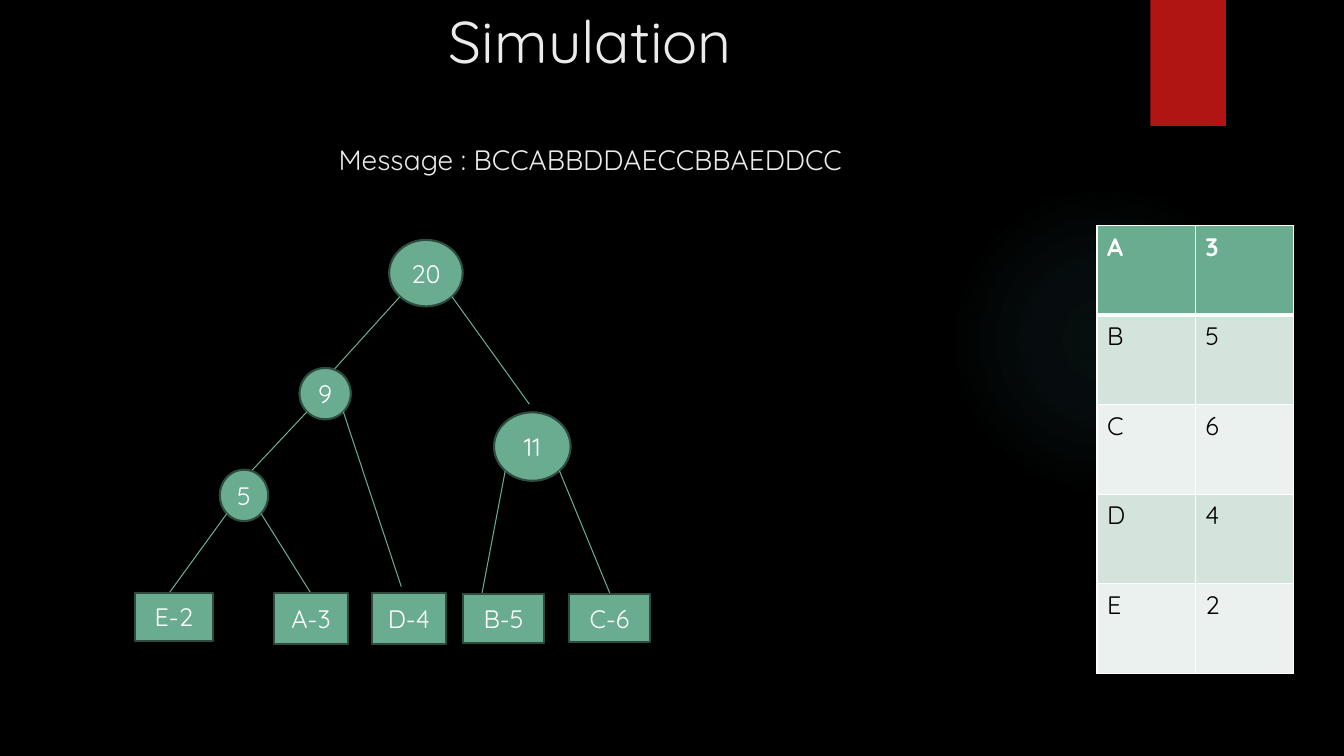
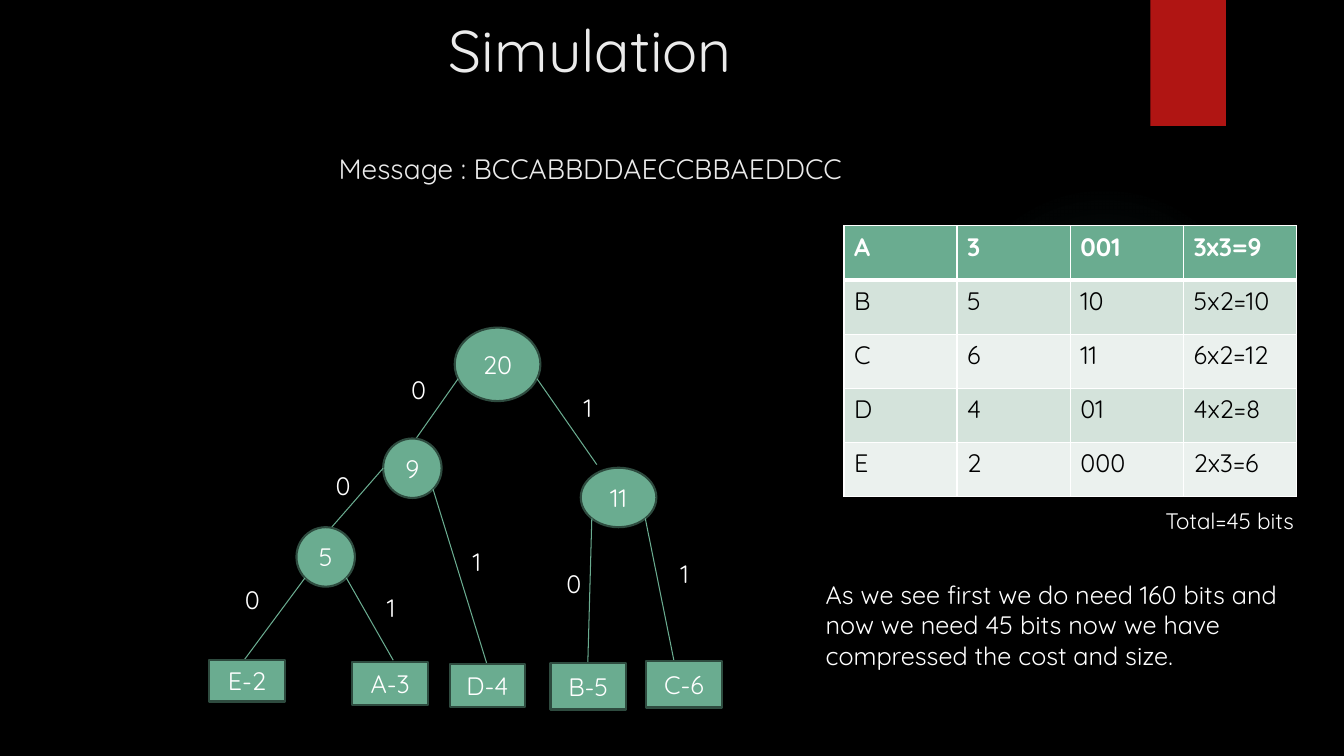
from dataclasses import dataclass
from math import cos, radians, sin

from pptx import Presentation
from pptx import util as u
from pptx.dml.color import RGBColor
from pptx.enum import shapes, text
from pptx.oxml import parse_xml
from pptx.oxml.ns import nsdecls


@dataclass(frozen=True)
class Theme:
    font: str = "Quicksand"
    background: str = "000000"
    band: str = "B01513"
    glow: str = "50B9C1"
    title: str = "EBEBEB"
    white: str = "FFFFFF"
    black: str = "000000"
    green: str = "6AAC90"
    outline: str = "2E4B3F"
    stripes: tuple = ("EBF1EE", "D4E3DB")
    title_size: float = 42
    message_size: float = 20
    body_size: float = 18
    note_size: float = 16
    message_gap: float = 48


THEME = Theme()
TITLE_ONLY = 5
MESSAGE = "Message : BCCABBDDAECCBBAEDDCC"
LEFT, RIGHT = 135, 45  # usual branch angles, clockwise from three o'clock

# Trees: label, (left, top, width, height), parent, angle, line end; ten grid units to the inch
FREQUENCY_TREE = [
    ("20", (38.6, 23.8, 7.3, 6.6), None, None, None),
    ("9", (29.7, 36.5, 5.1, 5.1), "20", LEFT, (33, 36.8)),
    ("5", (21.8, 46.6, 4.8, 5.1), "9", LEFT, (24.4, 47.3)),
    ("11", (49, 40.9, 7.6, 6.8), "20", RIGHT, (52.5, 40.1)),
    ("E-2", (13.4, 58.8, 7.7, 4.8), "5", LEFT, (16.8, 58.8)),
    ("A-3", (27.2, 58.8, 7.3, 5.1), "5", RIGHT, (30.8, 58.8)),
    ("D-4", (36.9, 58.8, 7.3, 5.1), "9", RIGHT, (39.8, 58.2)),
    ("B-5", (45.9, 58.9, 8.1, 4.9), "11", LEFT, (47.8, 58.9)),
    ("C-6", (56.4, 58.9, 8.1, 4.8), "11", RIGHT, (60.5, 58.9)),
]
CODE_TREE = [
    ("20", (45.1, 32.5, 8.5, 7.3), None, None, None),
    ("9", (38, 43.5, 5.8, 5.9), "20", 157, (41.2, 43.6)),
    ("11", (57.6, 46.4, 7.5, 5.9), "20", 23, (59.2, 46.1)),
    ("5", (29.4, 52.3, 5.8, 5.9), "9", 180, (32.9, 52.3)),
    ("E-2", (20.7, 65.5, 7.6, 4.1), "5", LEFT, (24.2, 65.5)),
    ("A-3", (34.9, 65.7, 7.6, 4.2), "5", RIGHT, (39, 65.5)),
    ("D-4", (44.6, 65.9, 7.5, 4.2), "9", RIGHT, (48.3, 65.9)),
    ("B-5", (54.6, 65.8, 7.5, 4.6), "11", LEFT, (58.3, 65.8)),
    ("C-6", (64.1, 65.6, 7.5, 4.6), "11", RIGHT, (67.2, 67.3)),
]
BRANCH_BITS = [
    ("1", 56.9, 38.4), ("1", 66.5, 54.9), ("0", 39.8, 36.6), ("0", 32.3, 46.2),
    ("0", 23.3, 57.5), ("0", 55.2, 55.9), ("1", 37.4, 58.3), ("1", 45.9, 53.7),
]
CODES = [("A", 3, "001"), ("B", 5, "10"), ("C", 6, "11"), ("D", 4, "01"), ("E", 2, "000")]


def grid(*units):
    """Turn grid units into lengths."""
    return [u.Inches(unit / 10) for unit in units]


def rgb(value):
    return RGBColor.from_string(value)


def apply(target, formats):
    for name, value in formats.items():
        setattr(target, name, value)


def write(paragraph, words, size=THEME.body_size, color=THEME.white, bold=False):
    run = paragraph.add_run()
    run.text = words
    apply(run.font, {"name": THEME.font, "size": u.Pt(size), "bold": bold})
    run.font.color.rgb = rgb(color)


def add_plain_shape(slide, kind, box, fill):
    shape = slide.shapes.add_shape(kind, *grid(*box))
    shape.shadow.inherit = False
    shape.fill.solid()
    shape.fill.fore_color.rgb = rgb(fill)
    shape.line.fill.background()
    return shape


def add_label(slide, words, box, wrap=True, size=THEME.body_size):
    frame = slide.shapes.add_textbox(*grid(*box)).text_frame
    frame.word_wrap = wrap
    write(frame.paragraphs[0], words, size)


# Shared backdrop
def style_layout(layout, slide):
    """Put the background, glow and band on the layout, behind its placeholders."""
    layout.background.fill.solid()
    layout.background.fill.fore_color.rgb = rgb(THEME.background)
    glow = add_plain_shape(slide, shapes.MSO_SHAPE.OVAL, (94.1, 18.3, 30.8, 30.8), THEME.glow)
    stops = "".join(
        f'<a:gs pos="{place}000"><a:srgbClr val="{THEME.glow}">'
        f'<a:alpha val="{alpha}000"/></a:srgbClr></a:gs>'
        for place, alpha in ((0, 7), (36, 6), (69, 0), (100, 0)))
    solid = glow.element.spPr.find("{*}solidFill")
    solid.getparent().replace(solid, parse_xml(
        f'<a:gradFill {nsdecls("a")}><a:gsLst>{stops}</a:gsLst><a:path path="circle">'
        '<a:fillToRect l="50000" t="50000" r="50000" b="50000"/></a:path></a:gradFill>'))
    band = add_plain_shape(slide, shapes.MSO_SHAPE.RECTANGLE, (114.1, 0, 7.5, 12.5), THEME.band)
    for place, part in enumerate((glow, band), start=2):
        layout.shapes.element.insert(place, part.element)


def add_title(slide, top, height):
    title = slide.shapes.title
    places = grid(7.1, top, 102.9, height)
    apply(title, dict(zip(("left", "top", "width", "height"), places)))
    frame = title.text_frame
    apply(frame, {"word_wrap": True, "auto_size": text.MSO_AUTO_SIZE.NONE,
                  "vertical_anchor": text.MSO_ANCHOR.TOP})
    heading, message = frame.paragraphs[0], frame.add_paragraph()
    write(heading, "Simulation", THEME.title_size, THEME.title)
    write(message, MESSAGE, THEME.message_size, THEME.title)
    for paragraph in (heading, message):
        paragraph.alignment = text.PP_ALIGN.CENTER
    message.space_before = u.Pt(THEME.message_gap)


# Tree
def add_branch(slide, box, angle, end):
    """Draw a line from the rim of the parent's ellipse to the child."""
    left, top, width, height = box
    start = (left + width / 2 * (1 + cos(radians(angle))),
             top + height / 2 * (1 + sin(radians(angle))))
    branch = slide.shapes.add_connector(shapes.MSO_CONNECTOR.STRAIGHT, *grid(*start, *end))
    branch.line.color.rgb = rgb(THEME.green)
    branch.line.width = u.Pt(0.75)
    branch.element.spPr.append(parse_xml(f'<a:effectLst {nsdecls("a")}/>'))


def add_node(slide, label, box):
    is_leaf = "-" in label
    kind = shapes.MSO_SHAPE.RECTANGLE if is_leaf else shapes.MSO_SHAPE.OVAL
    node = add_plain_shape(slide, kind, box, THEME.green)
    node.line.color.rgb = rgb(THEME.outline)
    node.line.width = u.Pt(1.5)
    frame = node.text_frame
    apply(frame, {"word_wrap": False, "vertical_anchor": text.MSO_ANCHOR.MIDDLE})
    frame.paragraphs[0].alignment = text.PP_ALIGN.CENTER
    write(frame.paragraphs[0], label)


def add_tree(slide, tree):
    boxes = {label: box for label, box, *_ in tree}
    for label, box, parent, angle, end in tree:
        if parent:
            add_branch(slide, boxes[parent], angle, end)
        add_node(slide, label, box)


# Table
def set_borders(cell, is_header, below_header):
    properties = cell._tc.get_or_add_tcPr()
    for side in "LRTB":
        thick = (is_header and side == "B") or (below_header and side == "T")
        width = u.Pt(3 if thick else 1)
        properties.append(parse_xml(
            f'<a:ln{side} {nsdecls("a")} w="{width}"><a:solidFill>'
            f'<a:srgbClr val="{THEME.white}"/></a:solidFill></a:ln{side}>'))


def add_code_table(slide, rows, box):
    table = slide.shapes.add_table(len(rows), len(rows[0]), *grid(*box)).table
    for r, row in enumerate(rows):
        is_header = r == 0
        fill = THEME.green if is_header else THEME.stripes[r % 2]
        color = THEME.white if is_header else THEME.black
        for c, value in enumerate(row):
            cell = table.cell(r, c)
            set_borders(cell, is_header, r == 1)
            cell.fill.solid()
            cell.fill.fore_color.rgb = rgb(fill)
            write(cell.text_frame.paragraphs[0], str(value), color=color, bold=is_header)


def main():
    deck = Presentation()
    deck.slide_width, deck.slide_height = u.Inches(13.33), u.Inches(7.5)
    layout = deck.slide_layouts[TITLE_ONLY]

    # Frequencies and their tree
    frequencies = deck.slides.add_slide(layout)
    style_layout(layout, frequencies)
    add_title(frequencies, 0, 20.3)
    add_code_table(frequencies, [code[:2] for code in CODES], (108.8, 22.4, 19.5, 44.4))
    add_tree(frequencies, FREQUENCY_TREE)

    # Codes read from the branches, and the total cost
    codes = deck.slides.add_slide(layout)
    add_title(codes, 0.9, 19.4)
    add_tree(codes, CODE_TREE)
    for bit, left, top in BRANCH_BITS:
        add_label(codes, bit, (left, top, 3.4, 4), wrap=False)
    costs = [(letter, count, code, f"{count}x{len(code)}={count * len(code)}")
             for letter, count, code in CODES]
    add_code_table(codes, costs, (83.7, 22.4, 44.9, 26.9))
    total = sum(count * len(code) for _, count, code in CODES)
    add_label(codes, f"Total={total} bits", (114.6, 49.8, 16.5, 3.7), size=THEME.note_size)
    add_label(codes, f"As we see first we do need 160 bits and now we need {total} bits "
                     "now we have compressed the cost and size.", (80.9, 57, 48.9, 10.1))

    deck.save("out.pptx")


if __name__ == "__main__":
    main()
